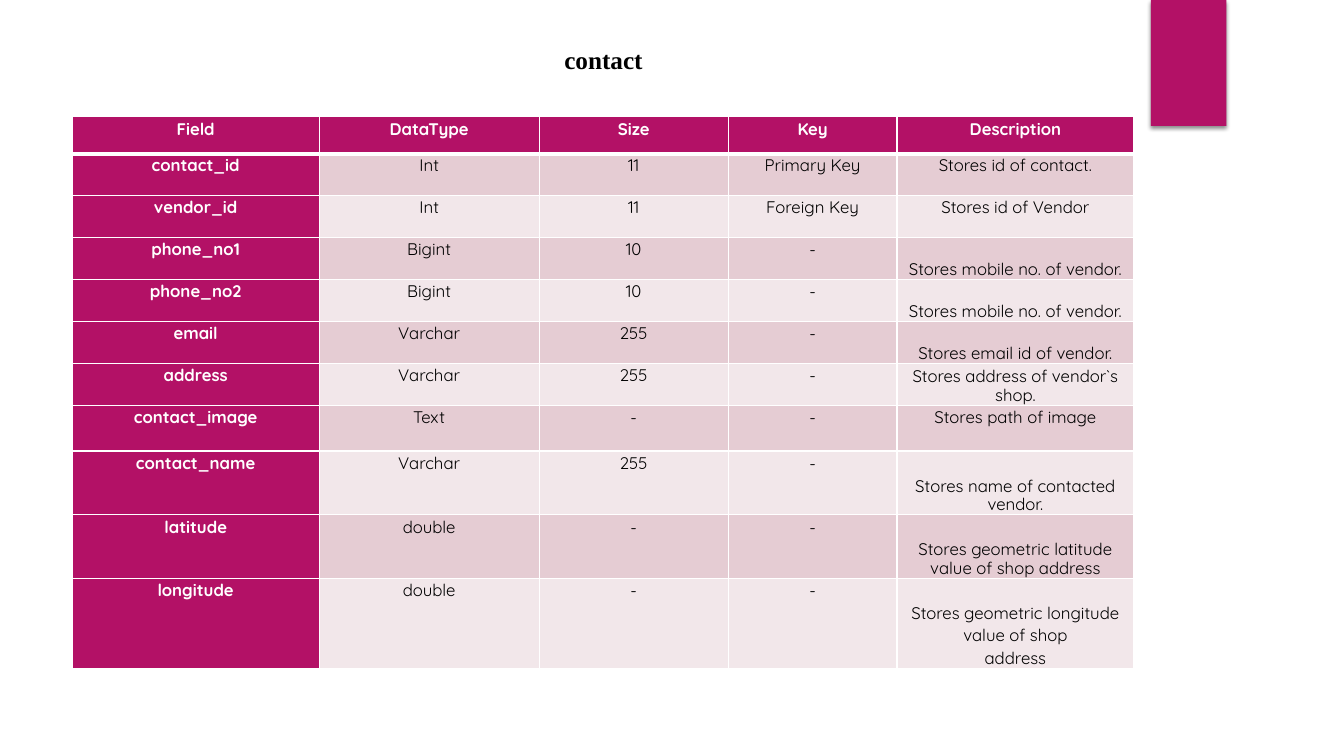
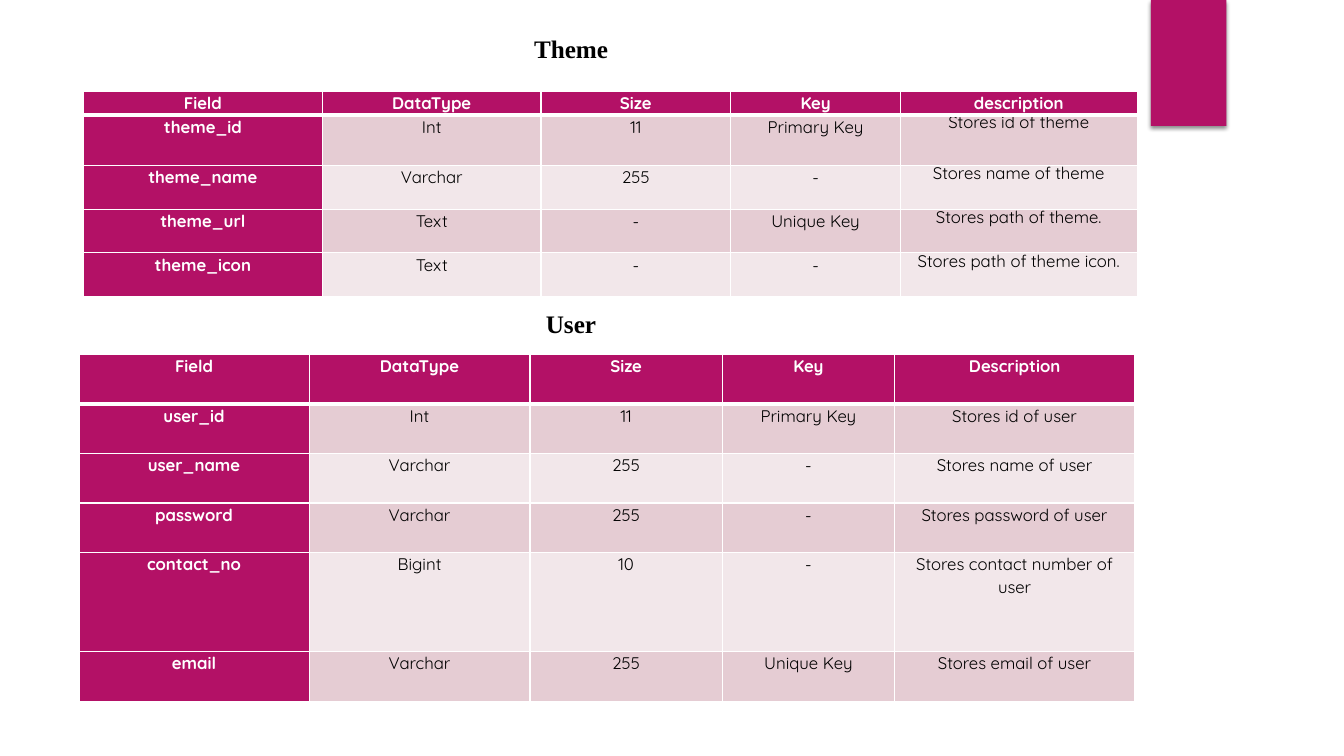
from dataclasses import dataclass

from lxml import etree
from pptx import Presentation
from pptx import util as u
from pptx.dml.color import RGBColor
from pptx.enum import shapes, text
from pptx.oxml import parse_xml
from pptx.oxml.ns import nsdecls, qn

MAGENTA = RGBColor(0xB3, 0x11, 0x66)
ROSE = RGBColor(0xE5, 0xCC, 0xD3)
BLUSH = RGBColor(0xF2, 0xE7, 0xEA)
WHITE = RGBColor(0xFF, 0xFF, 0xFF)
BLACK = RGBColor(0x00, 0x00, 0x00)
BODY_FONT = "Quicksand"
TITLE_FONT = "Times New Roman"
GRID_COLS, GRID_ROWS = 160, 90
SPACING = 1.07


@dataclass
class Row:
    height: float
    cells: tuple
    leading: float = SPACING
    low: bool = False


def grid(n):
    return u.Inches(n / 12)


def add_run(p, value, font, size, color, bold):
    r = p.add_run()
    r.text = value
    r.font.name = font
    r.font.size = u.Pt(size)
    r.font.color.rgb = color
    r.font.bold = bold


def add_tab(s):
    sp = s.shapes.add_shape(shapes.MSO_SHAPE.RECTANGLE,
                            grid(137), 0, grid(9), grid(15))
    sp.fill.solid()
    sp.fill.fore_color.rgb = MAGENTA
    sp.line.fill.background()
    sp.shadow.inherit = False
    effects = sp._element.spPr.find(qn("a:effectLst"))
    effects.append(parse_xml(
        f'<a:outerShdw {nsdecls("a")} blurRad="{u.Pt(3)}" dist="{u.Pt(2)}" '
        'dir="5400000" rotWithShape="0"><a:srgbClr val="000000">'
        '<a:alpha val="45000"/></a:srgbClr></a:outerShdw>'))


def add_slide(prs):
    s = prs.slides.add_slide(prs.slide_layouts[6])
    add_tab(s)
    return s


def add_title(s, value, left, top, width):
    sp = s.shapes.add_textbox(grid(left), grid(top), grid(width), grid(4.8))
    tf = sp.text_frame
    tf.word_wrap = True
    add_run(tf.paragraphs[0], value, TITLE_FONT, 18, BLACK, True)


def set_borders(cell, top, bottom):
    tcPr = cell._tc.get_or_add_tcPr()
    for side, width in zip("LRTB", (1, 1, top, bottom)):
        ln = etree.SubElement(tcPr, qn(f"a:ln{side}"), w=str(u.Pt(width)))
        fill = etree.SubElement(ln, qn("a:solidFill"))
        etree.SubElement(fill, qn("a:srgbClr"), val=str(WHITE))


def fill_cell(cell, value, fill, leading, low):
    cell.margin_left = cell.margin_right = u.Inches(0.07)
    cell.margin_top = cell.margin_bottom = 0
    cell.fill.solid()
    cell.fill.fore_color.rgb = fill
    if low:
        cell.vertical_anchor = text.MSO_ANCHOR.BOTTOM
    strong = fill == MAGENTA
    tf = cell.text_frame
    for i, line in enumerate(value.split("\n")):
        p = tf.add_paragraph() if i else tf.paragraphs[0]
        p.alignment = text.PP_ALIGN.CENTER
        p.line_spacing = leading if leading == SPACING else u.Pt(leading)
        add_run(p, line, BODY_FONT, 12, WHITE if strong else BLACK, strong)


def add_field_table(s, left, top, widths, rows):
    frame = s.shapes.add_table(len(rows), len(widths), grid(left), grid(top),
                               grid(sum(widths)),
                               grid(sum(row.height for row in rows)))
    table = frame.table
    for column, width in zip(table.columns, widths):
        column.width = grid(width)
    for i, row in enumerate(rows):
        table.rows[i].height = grid(row.height)
        band = ROSE if i % 2 else BLUSH
        for j, value in enumerate(row.cells):
            cell = table.cell(i, j)
            is_description = j == len(widths) - 1
            set_borders(cell, 3 if i == 1 else 1, 3 if i == 0 else 1)
            fill_cell(cell, value, MAGENTA if i == 0 or j == 0 else band,
                      row.leading if is_description else SPACING,
                      row.low and is_description)


def header(height, last="Description"):
    return Row(height, ("Field", "DataType", "Size", "Key", last))


CONTACT_ROWS = [
    header(4.4),
    Row(5, ("contact_id", "Int", "11", "Primary Key", "Stores id of contact.")),
    Row(5, ("vendor_id", "Int", "11", "Foreign Key", "Stores id of Vendor")),
    Row(5, ("phone_no1", "Bigint", "10", "-", "Stores mobile no. of vendor."),
        13.2, True),
    Row(5, ("phone_no2", "Bigint", "10", "-", "Stores mobile no. of vendor."),
        13.2, True),
    Row(5, ("email", "Varchar", "255", "-", "Stores email id of vendor."),
        13.2, True),
    Row(5, ("address", "Varchar", "255", "-",
            "Stores address of vendor`s shop."), 13.2, True),
    Row(5.4, ("contact_image", "Text", "-", "-", "Stores path of image")),
    Row(7.6, ("contact_name", "Varchar", "255", "-",
              "Stores name of contacted vendor."), 13.2, True),
    Row(7.6, ("latitude", "double", "-", "-",
              "Stores geometric latitude value of shop address"), 13.2, True),
    Row(10.7, ("longitude", "double", "-", "-",
               "Stores geometric longitude value of shop\naddress"), low=True),
]

THEME_ROWS = [
    header(2.8, "description"),
    Row(6, ("theme_id", "Int", "11", "Primary Key", "Stores id of theme"), 12.4),
    Row(5.2, ("theme_name", "Varchar", "255", "-", "Stores name of theme"), 13.3),
    Row(5.2, ("theme_url", "Text", "-", "Unique Key", "Stores path of theme."),
        13.2),
    Row(5.2, ("theme_icon", "Text", "-", "-", "Stores path of theme icon."),
        13.3),
]

USER_ROWS = [
    header(5.9),
    Row(5.9, ("user_id", "Int", "11", "Primary Key", "Stores id of user")),
    Row(5.9, ("user_name", "Varchar", "255", "-", "Stores name of user")),
    Row(5.9, ("password", "Varchar", "255", "-", "Stores password of user")),
    Row(11.8, ("contact_no", "Bigint", "10", "-",
               "Stores contact number of user")),
    Row(5.9, ("email", "Varchar", "255", "Unique Key", "Stores email of user")),
]


def main():
    prs = Presentation()
    prs.slide_width, prs.slide_height = grid(GRID_COLS), grid(GRID_ROWS)

    s = add_slide(prs)
    add_field_table(s, 8.6, 13.9, (29.4, 26.2, 22.5, 20.1, 28.2), CONTACT_ROWS)
    add_title(s, "contact", 66, 4.7, 12)

    s = add_slide(prs)
    add_title(s, "Theme", 62.4, 3.4, 36)
    add_title(s, "User", 63.8, 36.1, 9)
    add_field_table(s, 9.9, 10.9, (28.5, 26, 22.6, 20.2, 28.2), THEME_ROWS)
    add_field_table(s, 9.4, 42.2, (27.4, 26.3, 22.9, 20.5, 28.6), USER_ROWS)

    prs.save("out.pptx")


if __name__ == "__main__":
    main()
